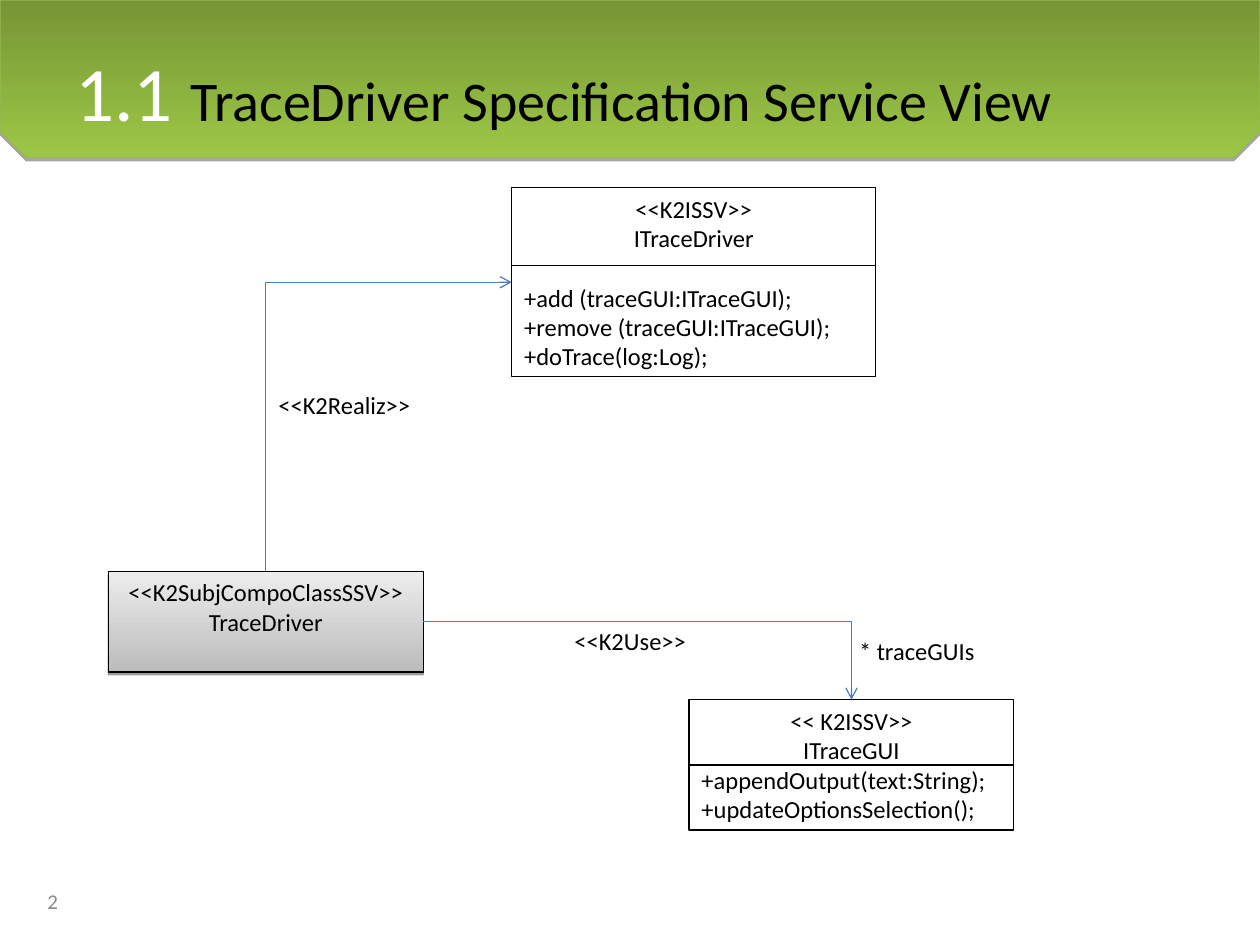
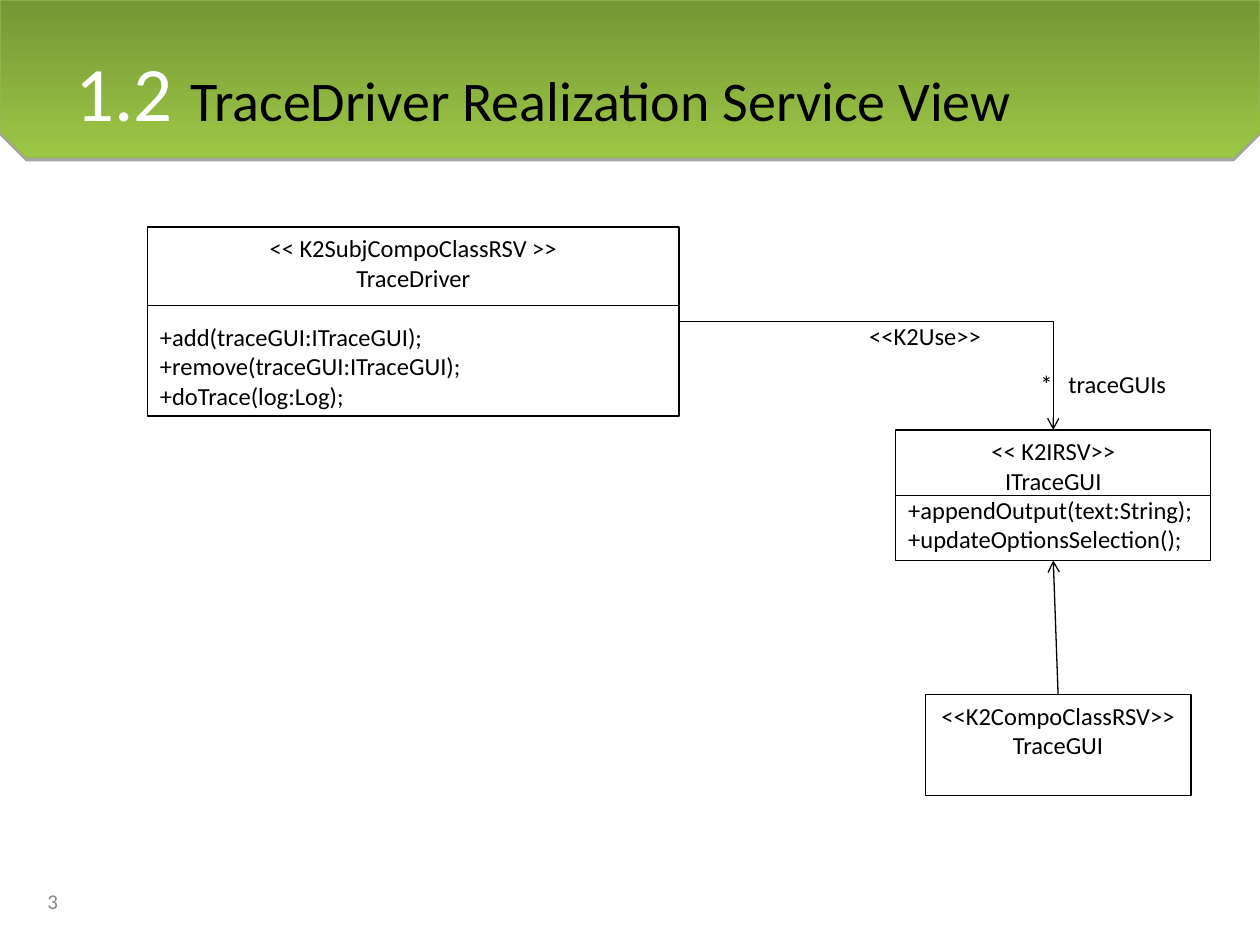
"""Build two service-view class diagrams as slides."""
from dataclasses import dataclass
from typing import Optional

from lxml.etree import SubElement
from pptx import Presentation
from pptx.dml.color import RGBColor
from pptx.enum.shapes import MSO_CONNECTOR as CONN, MSO_SHAPE as SHAPE
from pptx.enum.text import MSO_ANCHOR as ANCHOR, PP_ALIGN as ALIGN
from pptx.oxml.ns import qn
from pptx.util import Pt

TOP, LEFT, BOTTOM, RIGHT = range(4)


@dataclass(frozen=True)
class Theme:
    font: str = "Calibri"
    text: str = "000000"
    number: str = "FFFFFF"
    footer: str = "898989"
    blue: str = "4A7EBB"
    band: tuple = ("769535", "9CC746")
    band_line: str = "98B954"
    grey: tuple = ("EDEDED", "BCBCBC")
    number_size: float = 44
    title_size: float = 32
    body_size: float = 14
    footer_size: float = 12
    line: float = 0.75
    hairline: float = 0.25
    member_gap: float = 17


@dataclass(frozen=True)
class ClassBox:
    key: str
    left: float
    top: float
    width: float
    height: float
    heading: tuple
    members: tuple = ()
    gap: float = 0
    divider: Optional[float] = None
    divider_width: float = 0.75
    shaded: bool = False


@dataclass(frozen=True)
class Link:
    start: str
    start_site: int
    end: str
    end_site: int
    color: str
    elbow: bool = True
    arrow: str = "tailEnd"


@dataclass(frozen=True)
class Label:
    text: str
    left: float
    top: float
    width: float
    tab: float = 0


@dataclass(frozen=True)
class Diagram:
    number: str
    title: str
    page: str
    boxes: tuple
    links: tuple
    labels: tuple


THEME = Theme()

DIAGRAMS = (
    Diagram(
        "1.1", "TraceDriver Specification Service View", "2",
        (
            ClassBox("driver", 61.9, 326.4, 180, 57.6,
                     ("<<K2SubjCompoClassSSV>>", "TraceDriver"), shaded=True),
            ClassBox("interface", 292.4, 107.3, 208.1, 108,
                     ("<<K2ISSV>>", "ITraceDriver"),
                     ("+add (traceGUI:ITraceGUI);",
                      "+remove (traceGUI:ITraceGUI);",
                      "+doTrace(log:Log);"),
                     gap=THEME.member_gap, divider=44.6),
            ClassBox("gui", 393.8, 399.8, 185.6, 74.6,
                     ("<< K2ISSV>>", "ITraceGUI"),
                     ("+appendOutput(text:String);", "+updateOptionsSelection();"),
                     divider=37.4),
        ),
        (
            Link("interface", LEFT, "driver", TOP, THEME.blue, arrow="headEnd"),
            Link("driver", RIGHT, "gui", TOP, THEME.blue),
        ),
        (
            Label("<<K2Realiz>>", 152, 219.6, 100),
            Label("<<K2Use>>", 321.1, 354.4, 90),
            Label("* traceGUIs", 483.8, 360, 90),
        ),
    ),
    Diagram(
        "1.2", "TraceDriver Realization Service View", "3",
        (
            ClassBox("driver", 84.3, 129.8, 303.8, 108,
                     ("<< K2SubjCompoClassRSV >>", "TraceDriver"),
                     ("+add(traceGUI:ITraceGUI);",
                      "+remove(traceGUI:ITraceGUI);",
                      "+doTrace(log:Log);"),
                     gap=THEME.member_gap, divider=44.6),
            ClassBox("interface", 511.9, 245.7, 180, 74.6,
                     ("<< K2IRSV>>", "ITraceGUI"),
                     ("+appendOutput(text:String);", "+updateOptionsSelection();"),
                     divider=37.4, divider_width=THEME.hairline),
            ClassBox("gui", 528.7, 396.9, 151.9, 57.6,
                     ("<<K2CompoClassRSV>>", "TraceGUI")),
        ),
        (
            Link("driver", RIGHT, "interface", TOP, THEME.text),
            Link("gui", TOP, "interface", BOTTOM, THEME.text, elbow=False),
        ),
        (
            Label("<<K2Use>>", 489.6, 180, 90),
            Label("*\ttraceGUIs", 587.5, 207.4, 100, tab=16),
        ),
    ),
)


def add_run(p, text: str, *, size: float = THEME.body_size, color: str = THEME.text) -> None:
    """Append a formatted run to a paragraph."""
    r = p.add_run()
    r.text = text
    r.font.name = THEME.font
    r.font.size = Pt(size)
    r.font.color.rgb = RGBColor.from_string(color)


def add_text_box(slide, left: float, top: float, width: float, height: float,
                 *, wrap: bool = True, anchor=ANCHOR.TOP):
    """Add an empty text box and return its first paragraph."""
    tf = slide.shapes.add_textbox(Pt(left), Pt(top), Pt(width), Pt(height)).text_frame
    tf.word_wrap = wrap
    tf.vertical_anchor = anchor
    return tf.paragraphs[0]


def style_line(line, color: str, width: float = THEME.line) -> None:
    """Give an outline or connector its colour and width."""
    line.color.rgb = RGBColor.from_string(color)
    line.width = Pt(width)


def fill_gradient(sp, colors: tuple) -> None:
    """Fill a shape from the first colour at the top to the second below."""
    sp.fill.gradient()
    sp.fill.gradient_angle = 270
    for stop, color in zip(sp.fill.gradient_stops, colors):
        stop.color.rgb = RGBColor.from_string(color)


def add_shadow(sp, distance: float, opacity: int) -> None:
    """Cast a sharp black shadow straight down."""
    effects = sp._element.spPr.find(qn("a:effectLst"))
    shadow = SubElement(effects, qn("a:outerShdw"), blurRad="0", dist=str(Pt(distance)),
                        dir="5400000", rotWithShape="0")
    color = SubElement(shadow, qn("a:srgbClr"), val="000000")
    SubElement(color, qn("a:alpha"), val=str(opacity * 1000))


def add_frame(slide, diagram: Diagram) -> None:
    """Draw the band, title and page number."""
    builder = slide.shapes.build_freeform(0, 0, scale=Pt(1))
    builder.add_line_segments([(720, 0), (720, 75), (705, 90), (15, 90), (0, 75)])
    band = builder.convert_to_shape()
    band.shadow.inherit = False
    fill_gradient(band, THEME.band)
    style_line(band.line, THEME.band_line)
    add_shadow(band, 1.8, 35)

    p = add_text_box(slide, 36, 22, 648, 90)
    add_run(p, f"{diagram.number} ", size=THEME.number_size, color=THEME.number)
    add_run(p, diagram.title, size=THEME.title_size)
    p = add_text_box(slide, 20, 500.4, 168, 28.8, anchor=ANCHOR.MIDDLE)
    add_run(p, diagram.page, size=THEME.footer_size, color=THEME.footer)


def add_line(slide, kind, color: str, width: float = THEME.line, ends: tuple = (0, 0, 0, 0)):
    """Add a connector without a shadow."""
    cxn = slide.shapes.add_connector(kind, *map(Pt, ends))
    style_line(cxn.line, color, width)
    SubElement(cxn._element.spPr, qn("a:effectLst"))
    return cxn


def add_class_box(slide, box: ClassBox):
    """Draw a class with its heading, members and divider."""
    sp = slide.shapes.add_shape(SHAPE.RECTANGLE, Pt(box.left), Pt(box.top),
                                Pt(box.width), Pt(box.height))
    sp.shadow.inherit = False
    style_line(sp.line, THEME.text)
    if box.shaded:
        fill_gradient(sp, THEME.grey)
        add_shadow(sp, 1.6, 38)
    else:
        sp.fill.background()
    tf = sp.text_frame
    tf.word_wrap = True
    tf.vertical_anchor = ANCHOR.TOP
    for i, text in enumerate(box.heading + box.members):
        p = tf.add_paragraph() if i else tf.paragraphs[0]
        p.alignment = ALIGN.CENTER if i < len(box.heading) else ALIGN.LEFT
        if i == len(box.heading):
            p.space_before = Pt(box.gap)
        add_run(p, text)
    if box.divider is not None:
        y = box.top + box.divider
        add_line(slide, CONN.STRAIGHT, THEME.text, box.divider_width,
                 (box.left, y, box.left + box.width, y))
    return sp


def add_link(slide, link: Link, boxes: dict) -> None:
    """Join two classes with an arrow."""
    cxn = add_line(slide, CONN.ELBOW if link.elbow else CONN.STRAIGHT, link.color)
    cxn.begin_connect(boxes[link.start], link.start_site)
    cxn.end_connect(boxes[link.end], link.end_site)
    sp_pr = cxn._element.spPr
    if link.elbow:
        sp_pr.find(qn("a:prstGeom")).set("prst", "bentConnector2")
    SubElement(sp_pr.find(qn("a:ln")), qn(f"a:{link.arrow}"), type="arrow")


def add_label(slide, label: Label) -> None:
    """Write a caption beside a link."""
    p = add_text_box(slide, label.left, label.top, label.width, 24.5, wrap=False)
    if label.tab:
        tabs = SubElement(p._p.get_or_add_pPr(), qn("a:tabLst"))
        SubElement(tabs, qn("a:tab"), pos=str(Pt(label.tab)), algn="l")
    add_run(p, label.text)


def main() -> None:
    """Build and save the presentation."""
    prs = Presentation()
    prs.slide_width, prs.slide_height = Pt(720), Pt(540)
    for diagram in DIAGRAMS:
        slide = prs.slides.add_slide(prs.slide_layouts[6])
        add_frame(slide, diagram)
        boxes = {box.key: add_class_box(slide, box) for box in diagram.boxes}
        for link in diagram.links:
            add_link(slide, link, boxes)
        for label in diagram.labels:
            add_label(slide, label)
    prs.save("out.pptx")


if __name__ == "__main__":
    main()
